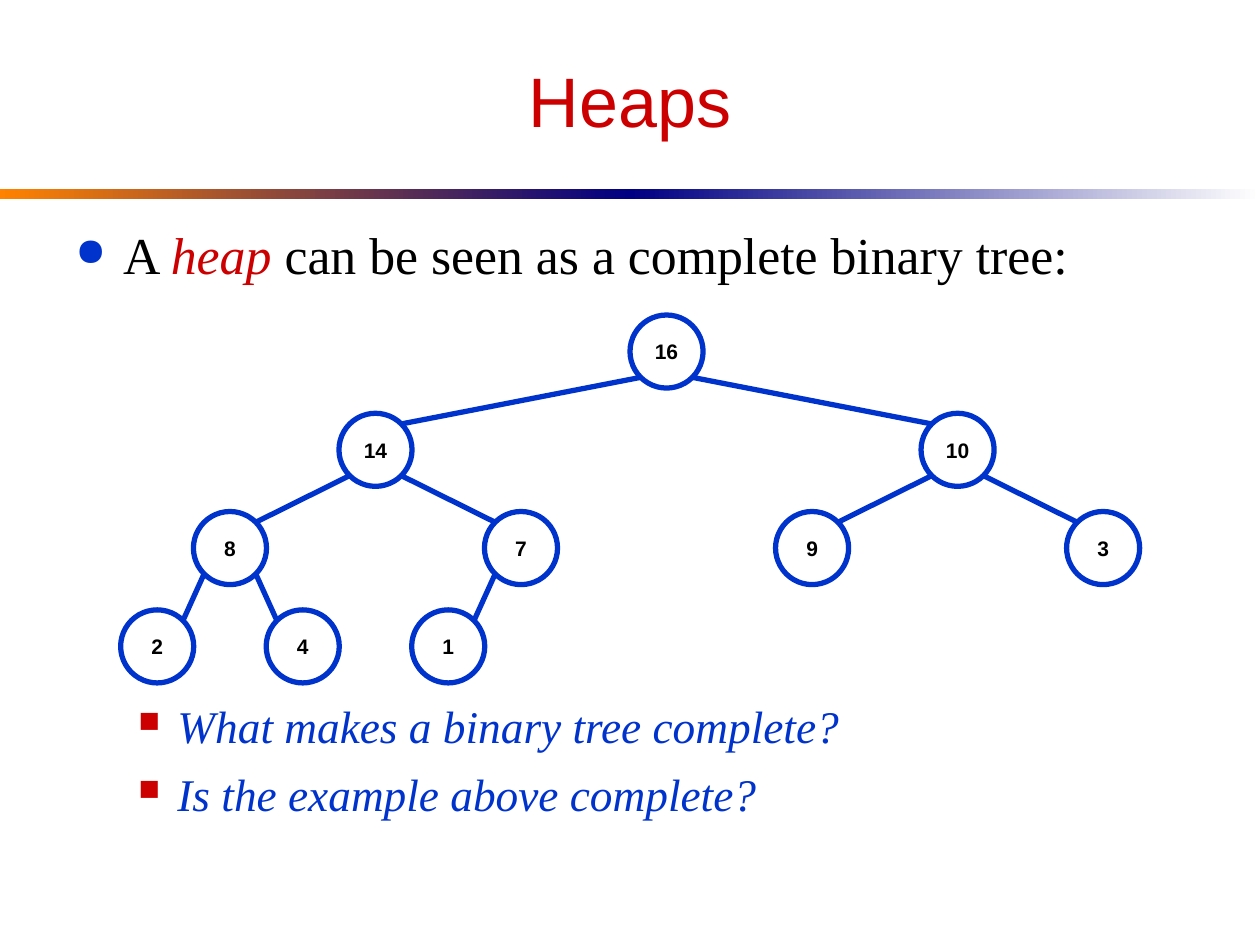
import math

import pptx
import pptx.dml.color
import pptx.enum.shapes
import pptx.enum.text
import pptx.oxml
import pptx.oxml.ns
import pptx.util
from lxml import etree

Inches = pptx.util.Inches
Pt = pptx.util.Pt
RGBColor = pptx.dml.color.RGBColor
Shapes = pptx.enum.shapes.MSO_SHAPE
Align = pptx.enum.text.PP_ALIGN
Anchor = pptx.enum.text.MSO_ANCHOR

RED = RGBColor(0xCC, 0x00, 0x00)
BLUE = RGBColor(0x00, 0x33, 0xCC)
BLACK = RGBColor(0x00, 0x00, 0x00)
WHITE = RGBColor(0xFF, 0xFF, 0xFF)
NAVY = RGBColor(0x00, 0x00, 0x82)
ORANGE = RGBColor(0xFF, 0x82, 0x00)

TITLE = "Heaps"
HEAP = [16, 14, 10, 8, 7, 9, 3, 2, 4, 1]
STATEMENT = [
    ("A ", BLACK, False),
    ("heap", RED, True),
    (" can be seen as a complete binary tree:", BLACK, False),
]
QUESTIONS = ["What makes a binary tree complete?", "Is the example above complete?"]
RULE_HALVES = [(0, ORANGE, NAVY), (5, NAVY, WHITE)]

TREE_LEFT, TREE_WIDTH = 0.67, 9.24
TREE_TOP, LEVEL_STEP = 2.5, 0.78
DIAMETER = 0.58
CORNER = DIAMETER / 2 * math.sqrt(0.5)
SPACE_FOR_TREE = 236


def add_run(paragraph, text, font_name, size, color, bold=False, italic=False):
    run = paragraph.add_run()
    run.text = text
    run.font.name = font_name
    run.font.size = Pt(size)
    run.font.color.rgb = color
    run.font.bold = bold
    run.font.italic = italic


def add_bullet(paragraph, character, color, percent, margin, hanging):
    properties = paragraph._p.get_or_add_pPr()
    properties.set("marL", str(Inches(margin)))
    properties.set("indent", str(-Inches(hanging)))
    bullet_color = etree.SubElement(properties, pptx.oxml.ns.qn("a:buClr"))
    etree.SubElement(bullet_color, pptx.oxml.ns.qn("a:srgbClr"), val=str(color))
    etree.SubElement(properties, pptx.oxml.ns.qn("a:buSzPct"), val=str(percent * 1000))
    etree.SubElement(properties, pptx.oxml.ns.qn("a:buChar"), char=character)


def add_rule(slide):
    for left, start, end in RULE_HALVES:
        half = slide.shapes.add_shape(
            Shapes.RECTANGLE, Inches(left), Inches(1.5), Inches(5), Inches(0.08))
        half.shadow.inherit = False
        half.line.fill.background()
        half.fill.gradient()
        half.fill.gradient_angle = 0
        for stop, color in zip(half.fill.gradient_stops, (start, end)):
            stop.color.rgb = color


def add_title(slide):
    title = slide.shapes.title
    title.left, title.top = Inches(0.5), Inches(0.25)
    title.width, title.height = Inches(9), Inches(1.08)
    title.text_frame.vertical_anchor = Anchor.MIDDLE
    paragraph = title.text_frame.paragraphs[0]
    paragraph.alignment = Align.CENTER
    add_run(paragraph, TITLE, "Arial", 40, RED)


def add_body(slide):
    body = slide.shapes.add_textbox(Inches(0.5), Inches(1.72), Inches(9), Inches(4.7))
    frame = body.text_frame
    frame.word_wrap = True
    paragraph = frame.paragraphs[0]
    add_bullet(paragraph, "●", BLUE, 75, 0.38, 0.38)
    for text, color, italic in STATEMENT:
        add_run(paragraph, text, "Times New Roman", 29.6, color, italic=italic)
    for text, space in zip(QUESTIONS, (SPACE_FOR_TREE, 7.8)):
        paragraph = frame.add_paragraph()
        paragraph.level = 1
        paragraph.space_before = Pt(space)
        add_bullet(paragraph, "■", RED, 65, 0.81, 0.31)
        add_run(paragraph, text, "Times New Roman", 25.9, BLUE, italic=True)


def node_center(index):
    level = (index + 1).bit_length() - 1
    position = index + 1 - 2 ** level
    x = TREE_LEFT + TREE_WIDTH * (position + 0.5) / 2 ** level
    return x, TREE_TOP + DIAMETER / 2 + LEVEL_STEP * level


def add_node(slide, index):
    x, y = node_center(index)
    node = slide.shapes.add_shape(
        Shapes.OVAL, Inches(x - DIAMETER / 2), Inches(y - DIAMETER / 2),
        Inches(DIAMETER), Inches(DIAMETER))
    node.shadow.inherit = False
    node.fill.solid()
    node.fill.fore_color.rgb = WHITE
    node.line.color.rgb = BLUE
    node.line.width = Pt(3)
    node.text_frame.word_wrap = False
    node.text_frame.vertical_anchor = Anchor.MIDDLE
    paragraph = node.text_frame.paragraphs[0]
    paragraph.alignment = Align.CENTER
    add_run(paragraph, str(HEAP[index]), "Arial", 12, BLACK, bold=True)


def add_edge(slide, child):
    parent_x, parent_y = node_center((child - 1) // 2)
    child_x, child_y = node_center(child)
    offset = math.copysign(CORNER, child_x - parent_x)
    edge = slide.shapes.add_connector(
        pptx.enum.shapes.MSO_CONNECTOR.STRAIGHT,
        Inches(parent_x + offset), Inches(parent_y + CORNER),
        Inches(child_x - offset), Inches(child_y - CORNER))
    edge.line.color.rgb = BLUE
    edge.line.width = Pt(3)
    etree.SubElement(edge._element.spPr, pptx.oxml.ns.qn("a:effectLst"))


def main():
    presentation = pptx.Presentation()
    presentation.slide_width, presentation.slide_height = Inches(10), Inches(7.5)
    slide = presentation.slides.add_slide(presentation.slide_layouts[5])
    add_rule(slide)
    add_title(slide)
    add_body(slide)
    for index in range(len(HEAP)):
        add_node(slide, index)
    for child in range(1, len(HEAP)):
        add_edge(slide, child)
    presentation.save("out.pptx")


if __name__ == "__main__":
    main()
